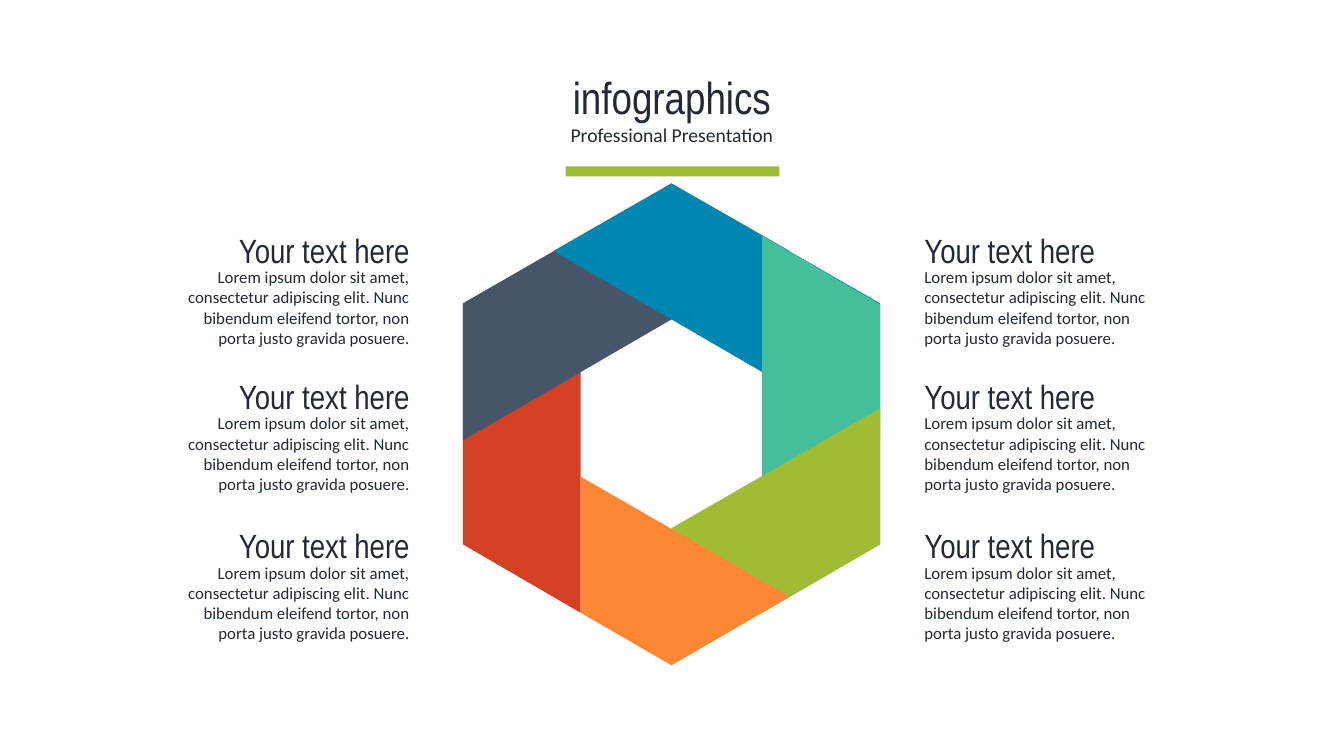
import pptx
import pptx.dml.color
import pptx.enum.shapes
import pptx.enum.text
import pptx.util

Inches = pptx.util.Inches
Align = pptx.enum.text.PP_ALIGN

COLORS = {
    "red": "D44024", "slate": "46556A", "blue": "0087B1",
    "teal": "45BE9B", "green": "A0BC34", "orange": "FB8734",
    "ink": "222A35",
}
HEADING_FONT = "Arial Narrow"
BODY_FONT = "Calibri"
HEADING = "Your text here"
BODY = ("Lorem ipsum dolor sit amet, consectetur adipiscing elit. "
        "Nunc bibendum eleifend tortor, non porta justo gravida posuere.")
RING_BANDS = [
    ("red", [(5.76, 2.34), (5.76, 6.08), (4.59, 5.4), (4.59, 3.02)]),
    ("slate", [(6.66, 1.82), (7.83, 2.49), (4.59, 4.37), (4.59, 3.01)]),
    ("blue", [(6.66, 1.82), (8.73, 3.01), (8.73, 4.37), (5.49, 2.49)]),
    ("teal", [(7.56, 2.34), (8.73, 3.02), (8.73, 5.4), (7.56, 6.08)]),
    ("green", [(8.73, 4.05), (8.73, 5.4), (6.66, 6.6), (6.66, 5.24)]),
    ("orange", [(5.76, 4.73), (7.83, 5.92), (6.66, 6.6), (5.76, 6.08)]),
]
COLUMNS = [(9.07, Align.LEFT), (1.61, Align.RIGHT)]
ROW_TOPS = [2.23, 3.68, 5.16]


class Page:
    """Draws styled elements on one slide."""

    def __init__(self, deck):
        self.shapes = deck.slides.add_slide(deck.slide_layouts[6]).shapes

    def paint(self, shape, color):
        shape.shadow.inherit = False
        shape.fill.solid()
        shape.fill.fore_color.rgb = pptx.dml.color.RGBColor.from_string(COLORS[color])
        shape.line.fill.background()

    def band(self, color, corners):
        points = [(Inches(x), Inches(y)) for x, y in corners]
        builder = self.shapes.build_freeform(*points[0])
        builder.add_line_segments(points[1:], close=True)
        self.paint(builder.convert_to_shape(), color)

    def bar(self, color, *area):
        rectangle = pptx.enum.shapes.MSO_SHAPE.RECTANGLE
        self.paint(self.shapes.add_shape(rectangle, *map(Inches, area)), color)

    def text(self, words, area, font, size, align):
        frame = self.shapes.add_textbox(*map(Inches, area)).text_frame
        frame.word_wrap = True
        frame.auto_size = pptx.enum.text.MSO_AUTO_SIZE.SHAPE_TO_FIT_TEXT
        para = frame.paragraphs[0]
        para.text = words
        para.alignment = align
        para.font.name = font
        para.font.size = pptx.util.Pt(size)
        para.font.color.rgb = pptx.dml.color.RGBColor.from_string(COLORS["ink"])

    def caption(self, left, top, align):
        self.text(BODY, (left, top + 0.37, 2.55, 0.91), BODY_FONT, 12, align)
        self.text(HEADING, (left, top, 2.55, 0.5), HEADING_FONT, 24, align)


def main():
    deck = pptx.Presentation()
    deck.slide_width = Inches(13.33)
    deck.slide_height = Inches(7.5)
    page = Page(deck)
    for color, corners in RING_BANDS:
        page.band(color, corners)
    for top in ROW_TOPS:
        for left, align in COLUMNS:
            page.caption(left, top, align)
    page.text("infographics", (0, 0.64, 13.33, 0.64), HEADING_FONT, 32, Align.CENTER)
    page.text("Professional Presentation", (0.68, 1.17, 11.97, 0.34),
              BODY_FONT, 14, Align.CENTER)
    page.bar("green", 5.61, 1.65, 2.12, 0.1)
    deck.save("out.pptx")


if __name__ == "__main__":
    main()
